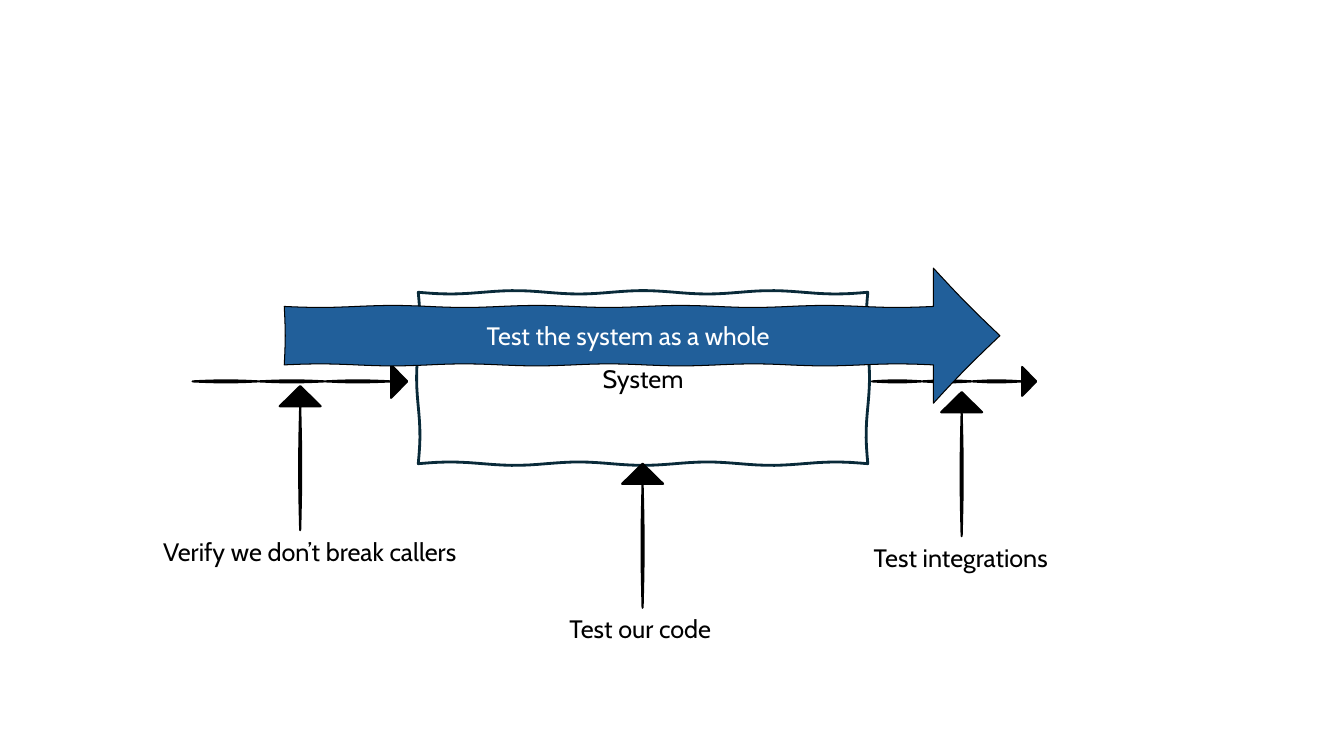
from math import hypot, pi, sin

from pptx import Presentation
from pptx.dml.color import RGBColor
from pptx.enum.text import MSO_ANCHOR, MSO_AUTO_SIZE, PP_ALIGN
from pptx.util import Inches, Pt

MIDDLE, CENTER = MSO_ANCHOR.MIDDLE, PP_ALIGN.CENTER
GROW = MSO_AUTO_SIZE.SHAPE_TO_FIT_TEXT
COLS, ROWS = 40, 22.5
CELL = Inches(13.33) / COLS
COLORS = {"ink": "000000", "frame": "092A39", "whole": "215F9A", "light": "FFFFFF"}
FONT = "Cabin"
LABEL = 1.2
STEM = 4.29
NOTES = [
    ("Test our code", (16.65, 13.8, 4.95, STEM + LABEL), 0.5),
    ("Test integrations", (25.71, 11.67, 5.94, STEM + LABEL), 0.49),
    ("Verify we don’t break callers", (4.56, 11.49, 9.72, STEM + LABEL), 0.45),
]


def color(name):
    """Return the named colour."""
    return RGBColor.from_string(COLORS[name])


def emu(cells):
    """Turn grid cells into a whole length."""
    return round(cells * CELL)


def style(frame, text, tone):
    """Write one line of text in the slide's font."""
    frame.text = text
    font = frame.paragraphs[0].runs[0].font
    font.name, font.size = FONT, Pt(18)
    font.color.rgb = color(tone)


def label(slide, box, text, tone="ink"):
    """Add an unwrapped label in the box."""
    frame = slide.shapes.add_textbox(*map(emu, box)).text_frame
    frame.word_wrap = False
    frame.auto_size = GROW
    style(frame, text, tone)


def edge(start, end, swing):
    """Return the points of a hand-drawn edge, wavy if it is long."""
    (x, y), (dx, dy) = start, (end[0] - start[0], end[1] - start[1])
    span = hypot(dx, dy)
    if span < 1.5:
        return [end]
    steps, waves = int(span * 4), 2 * int(span / 4) + 1
    points = []
    for step in range(1, steps):
        part = step / steps
        shift = swing * sin(waves * pi * part) / span
        points.append((x + dx * part - dy * shift, y + dy * part + dx * shift))
    return points + [end]


def sketch(slide, corners, fill, line, width, swing=0.03):
    """Draw a closed outline with hand-drawn edges."""
    points = []
    for start, end in zip(corners, corners[1:] + corners[:1]):
        points += edge(start, end, swing)
    pen = slide.shapes.build_freeform(*map(emu, corners[0]), scale=1.0)
    pen.add_line_segments([(emu(x), emu(y)) for x, y in points], close=True)
    shape = pen.convert_to_shape()
    shape.shadow.inherit = False
    if fill:
        shape.fill.solid()
        shape.fill.fore_color.rgb = color(fill)
    else:
        shape.fill.background()
    shape.line.color.rgb = color(line)
    shape.line.width = Pt(width)
    return shape


def arrow(slide, tail, tip, head, half, shaft=0, fill="ink", width=1.5):
    """Draw a sketched arrow from tail to tip."""
    dx, dy = tip[0] - tail[0], tip[1] - tail[1]
    span = hypot(dx, dy)
    ux, uy = dx / span, dy / span
    outline = [(0, -shaft), (span - head, -shaft), (span - head, -half), (span, 0),
               (span - head, half), (span - head, shaft), (0, shaft)]
    corners = [(tail[0] + a * ux - b * uy, tail[1] + a * uy + b * ux)
               for a, b in outline]
    sketch(slide, corners, fill, "ink", width)


def system(slide, box):
    """Draw the system with its incoming and outgoing arrows."""
    x, y, w, h = box
    right, flow = x + w, y + 0.52 * h
    corners = [(x, y), (right, y), (right, y + h), (x, y + h)]
    frame = sketch(slide, corners, None, "frame", 2, 0.05).text_frame
    frame.vertical_anchor = MIDDLE
    style(frame, "System", "ink")
    frame.paragraphs[0].alignment = CENTER
    arrow(slide, (x - 6.72, flow), (x - 0.33, flow), 0.48, 0.49)
    arrow(slide, (right + 0.12, flow), (right + 5.01, flow), 0.42, 0.43)


def note(slide, box, text, share):
    """Draw an upward arrow with its label below."""
    x, y, w, h = box
    stem, foot = x + share * w, y + h - LABEL
    arrow(slide, (stem, foot), (stem, y), 0.6, 0.61)
    label(slide, (x, foot + 0.03, w, LABEL), text)


def whole(slide, box):
    """Draw the broad arrow across the system."""
    x, y, w, h = box
    mid = y + h / 2
    arrow(slide, (x, mid), (x + w, mid), 1.98, h / 2, 0.87, "whole", 0.75)
    label(slide, (x + 5.73, mid - LABEL / 2, 9.24, LABEL),
          "Test the system as a whole", "light")


def main():
    """Build and save the slide."""
    deck = Presentation()
    deck.slide_width, deck.slide_height = emu(COLS), emu(ROWS)
    slide = deck.slides.add_slide(deck.slide_layouts[6])
    system(slide, (12.45, 8.7, 13.38, 5.1))
    for text, box, share in NOTES:
        note(slide, box, text, share)
    whole(slide, (8.46, 7.98, 21.3, 4.02))
    deck.save("out.pptx")


if __name__ == "__main__":
    main()
